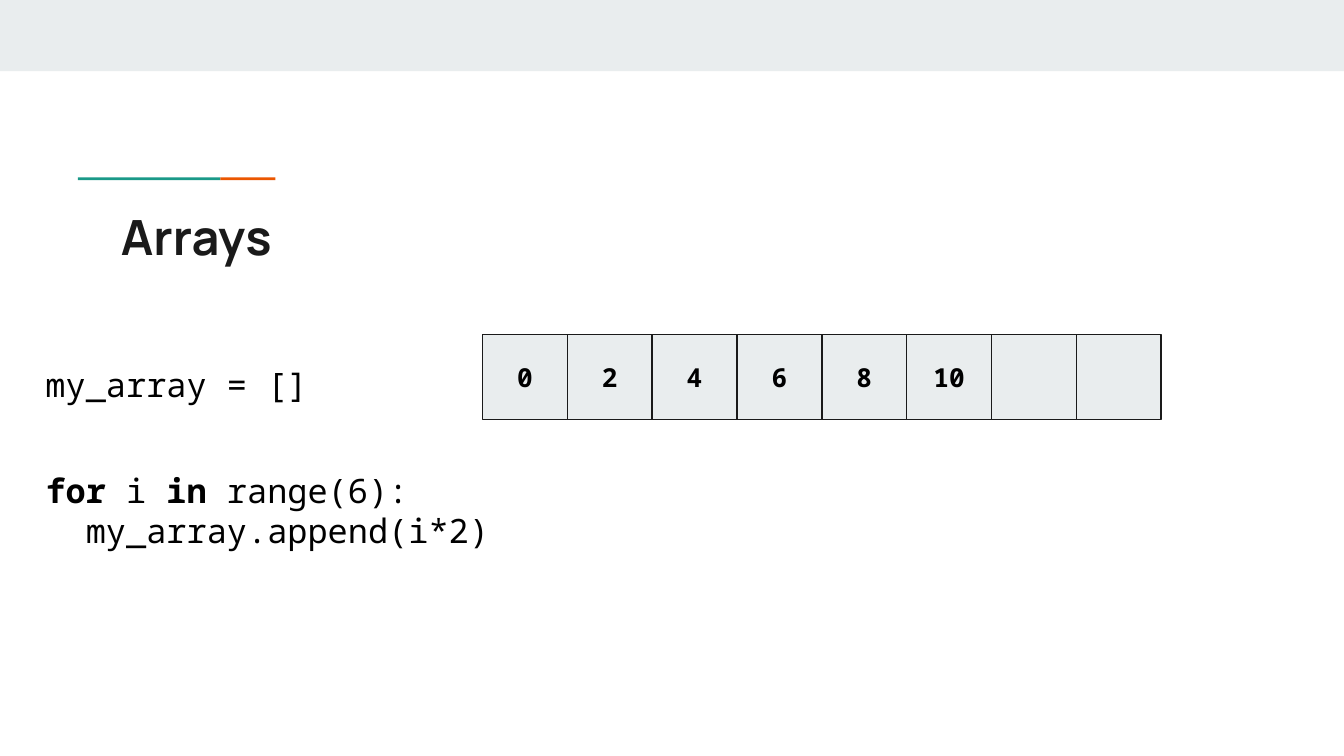
from pptx import Presentation
from pptx.dml.color import RGBColor
from pptx.enum.shapes import MSO_SHAPE
from pptx.enum.text import MSO_ANCHOR, MSO_AUTO_SIZE, PP_ALIGN
from pptx.util import Inches, Pt

RECT = MSO_SHAPE.RECTANGLE
TOP, MIDDLE = MSO_ANCHOR.TOP, MSO_ANCHOR.MIDDLE
LEFT, CENTER = PP_ALIGN.LEFT, PP_ALIGN.CENTER
NO_FIT = MSO_AUTO_SIZE.NONE

GRAY = RGBColor(0xE9, 0xED, 0xEE)
ORANGE = RGBColor(0xEB, 0x56, 0x00)
TEAL = RGBColor(0x1A, 0x99, 0x88)
INK = RGBColor(0x1A, 0x1A, 0x1A)
BLACK = RGBColor(0, 0, 0)

HEAD = "Manrope"
MONO = "Noto Sans Mono"

CELLS = 8
ROW_X, ROW_Y = 3.59, 2.49
SIDE = 5.05 / CELLS
VALUES = ["0", "2", "4", "6", "8", "10"]

INIT = [[("my_array = []", False)]]
LOOP = [
    [("for", True), (" i ", False), ("in", True), (" range(6):", False)],
    [("  my_array.append(i*2)", False)],
]


def add_rect(slide, x, y, w, h, fill, line=None):
    """Add a flat rectangle, outlined if a line colour is given."""
    rect = slide.shapes.add_shape(RECT, Inches(x), Inches(y), Inches(w), Inches(h))
    rect.shadow.inherit = False
    rect.fill.solid()
    rect.fill.fore_color.rgb = fill
    if line is None:
        rect.line.fill.background()
    else:
        rect.line.color.rgb = line
        rect.line.width = Pt(0.75)
    return rect


def set_frame(frame, anchor):
    """Give a text frame even insets, wrapping and an anchor."""
    frame.auto_size = NO_FIT
    frame.word_wrap = True
    frame.vertical_anchor = anchor
    frame.margin_left = frame.margin_right = Inches(0.1)
    frame.margin_top = frame.margin_bottom = Inches(0.1)


def set_font(font, name, size, color):
    """Set the face, size and colour of a font."""
    font.name = name
    font.size = Pt(size)
    font.color.rgb = color


def add_title(slide, text):
    """Place and format the title."""
    title = slide.shapes.title
    title.left, title.top = Inches(0.8), Inches(1.44)
    title.width, title.height = Inches(8.41), Inches(0.59)
    set_frame(title.text_frame, TOP)
    para = title.text_frame.paragraphs[0]
    para.text = text
    para.alignment = LEFT
    set_font(para.font, HEAD, 26, INK)
    para.font.bold = True


def add_code(slide, x, y, w, h, lines):
    """Add a box of code, with bold keywords."""
    box = slide.shapes.add_textbox(Inches(x), Inches(y), Inches(w), Inches(h))
    set_frame(box.text_frame, MIDDLE)
    para = box.text_frame.paragraphs[0]
    set_font(para.font, MONO, 18, BLACK)
    for i, line in enumerate(lines):
        if i:
            para.add_line_break()
        for text, bold in line:
            run = para.add_run()
            run.text = text
            run.font.bold = bold


def add_cell(slide, i, value):
    """Add one array cell, with its value if it has one."""
    cell = add_rect(slide, ROW_X + i * SIDE, ROW_Y, SIDE, SIDE, GRAY, INK)
    if value:
        set_frame(cell.text_frame, MIDDLE)
        para = cell.text_frame.paragraphs[0]
        para.text = value
        para.alignment = CENTER
        set_font(para.font, MONO, 14, BLACK)
        para.font.bold = True


def main():
    """Build the slide and save it."""
    deck = Presentation()
    deck.slide_width = Inches(10)
    deck.slide_height = deck.slide_width * 9 // 16
    slide = deck.slides.add_slide(deck.slide_layouts[5])
    add_rect(slide, 0, 0, 10, 0.53, GRAY)
    add_rect(slide, 0.58, 1.32, 1.06, 0.02, TEAL)
    add_rect(slide, 1.64, 1.32, 0.41, 0.02, ORANGE)
    add_title(slide, "Arrays")
    for i in range(CELLS):
        add_cell(slide, i, VALUES[i] if i < len(VALUES) else None)
    add_code(slide, 0.24, 2.54, 2.86, 0.63, INIT)
    add_code(slide, 0.24, 3.21, 4.92, 1.17, LOOP)
    deck.save("out.pptx")


if __name__ == "__main__":
    main()
